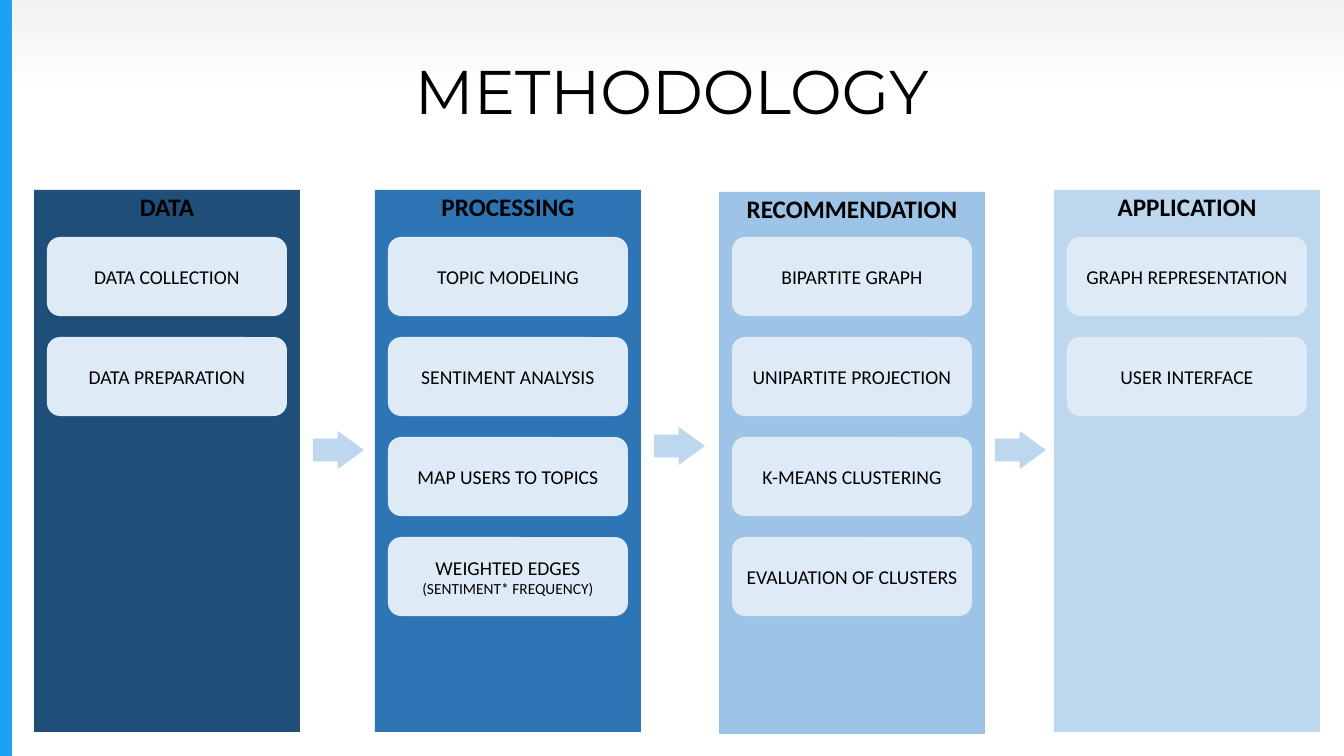
from pptx import Presentation
from pptx.dml.color import RGBColor
from pptx.enum.shapes import MSO_SHAPE
from pptx.enum.text import MSO_ANCHOR, PP_ALIGN
from pptx.util import Emu, Pt

RECTANGLE = MSO_SHAPE.RECTANGLE
ROUNDED = MSO_SHAPE.ROUNDED_RECTANGLE
ARROW = MSO_SHAPE.RIGHT_ARROW
TOP, MIDDLE = MSO_ANCHOR.TOP, MSO_ANCHOR.MIDDLE
CENTER = PP_ALIGN.CENTER

SLIDE_WIDTH, SLIDE_HEIGHT = 1344, 756
STAGE_WIDTH, STAGE_HEIGHT = 266, 542
STEP_INSET, STEP_WIDTH, STEP_HEIGHT = 13, 240, 79
FIRST_STEP_TOP, STEP_PITCH = 237, 100

STAGES = [
    (34, 190, "1F4E79", "DATA", ["DATA COLLECTION", "DATA PREPARATION"]),
    (375, 190, "2E75B6", "PROCESSING",
     ["TOPIC MODELING", "SENTIMENT ANALYSIS", "MAP USERS TO TOPICS",
      "WEIGHTED EDGES |(SENTIMENT* FREQUENCY)"]),
    (719, 192, "9DC3E6", "RECOMMENDATION",
     ["BIPARTITE GRAPH", "UNIPARTITE PROJECTION", "K-MEANS CLUSTERING",
      "EVALUATION OF CLUSTERS"]),
    (1054, 190, "BDD7EE", "APPLICATION",
     ["GRAPH REPRESENTATION", "USER INTERFACE"]),
]
ARROWS = [(313, 431), (654, 427), (995, 431)]


def px(length):
    """Turn whole pixels into EMU."""
    return Emu(length * 9144000 // 1008)


def color(value):
    """Turn a hex string into a colour."""
    return RGBColor.from_string(value)


def write(box, spans, font="Calibri", bold=False, anchor=MIDDLE, spacing=1.0):
    """Write one centred black paragraph made of (text, size) spans."""
    frame = box.text_frame
    frame.word_wrap = True
    frame.vertical_anchor = anchor
    para = frame.paragraphs[0]
    para.alignment = CENTER
    para.line_spacing = spacing
    for text, size in spans:
        span = para.add_run()
        span.text = text
        span.font.name = font
        span.font.size = Pt(size)
        span.font.bold = bold
        span.font.color.rgb = color("000000")


def add_box(page, kind, left, top, width, height, fill):
    """Add a flat filled shape without outline."""
    box = page.shapes.add_shape(kind, px(left), px(top), px(width), px(height))
    box.shadow.inherit = False
    box.fill.solid()
    box.fill.fore_color.rgb = color(fill)
    box.line.fill.background()
    return box


def add_title(page, text):
    """Add the centred slide title."""
    box = page.shapes.add_textbox(px(23), px(22), px(1298), px(146))
    write(box, [(text, 44)], font="Montserrat", spacing=0.9)


def add_stage(page, left, top, fill, heading, steps):
    """Add a stage column with its heading and step cards."""
    column = add_box(page, RECTANGLE, left, top, STAGE_WIDTH, STAGE_HEIGHT, fill)
    write(column, [(heading, 18)], bold=True, anchor=TOP, spacing=0.9)
    for index, step in enumerate(steps):
        card = add_box(page, ROUNDED, left + STEP_INSET,
                       FIRST_STEP_TOP + index * STEP_PITCH,
                       STEP_WIDTH, STEP_HEIGHT, "DEEBF7")
        write(card, zip(step.split("|"), (14, 11)))


def add_arrow(page, left, top):
    """Add a block arrow leading to the next stage."""
    arrow = add_box(page, ARROW, left, top, 51, 38, "BDD7EE")
    arrow.adjustments[0] = 0.6
    arrow.adjustments[1] = 0.69


def paint_background(page):
    """Fade the page from light grey at the top to white."""
    fill = page.background.fill
    fill.gradient()
    fill.gradient_angle = 270
    for stop, (position, shade) in zip(fill.gradient_stops,
                                       [(0, "F2F2F2"), (0.13, "FFFFFF")]):
        stop.position = position
        stop.color.rgb = color(shade)


def main():
    """Build the methodology slide."""
    deck = Presentation()
    deck.slide_width, deck.slide_height = px(SLIDE_WIDTH), px(SLIDE_HEIGHT)
    page = deck.slides.add_slide(deck.slide_layouts[6])
    paint_background(page)
    add_box(page, RECTANGLE, 0, 0, 12, SLIDE_HEIGHT, "1DA1F2")
    add_title(page, "METHODOLOGY")
    for stage in STAGES:
        add_stage(page, *stage)
    for left, top in ARROWS:
        add_arrow(page, left, top)
    deck.save("out.pptx")


if __name__ == "__main__":
    main()
